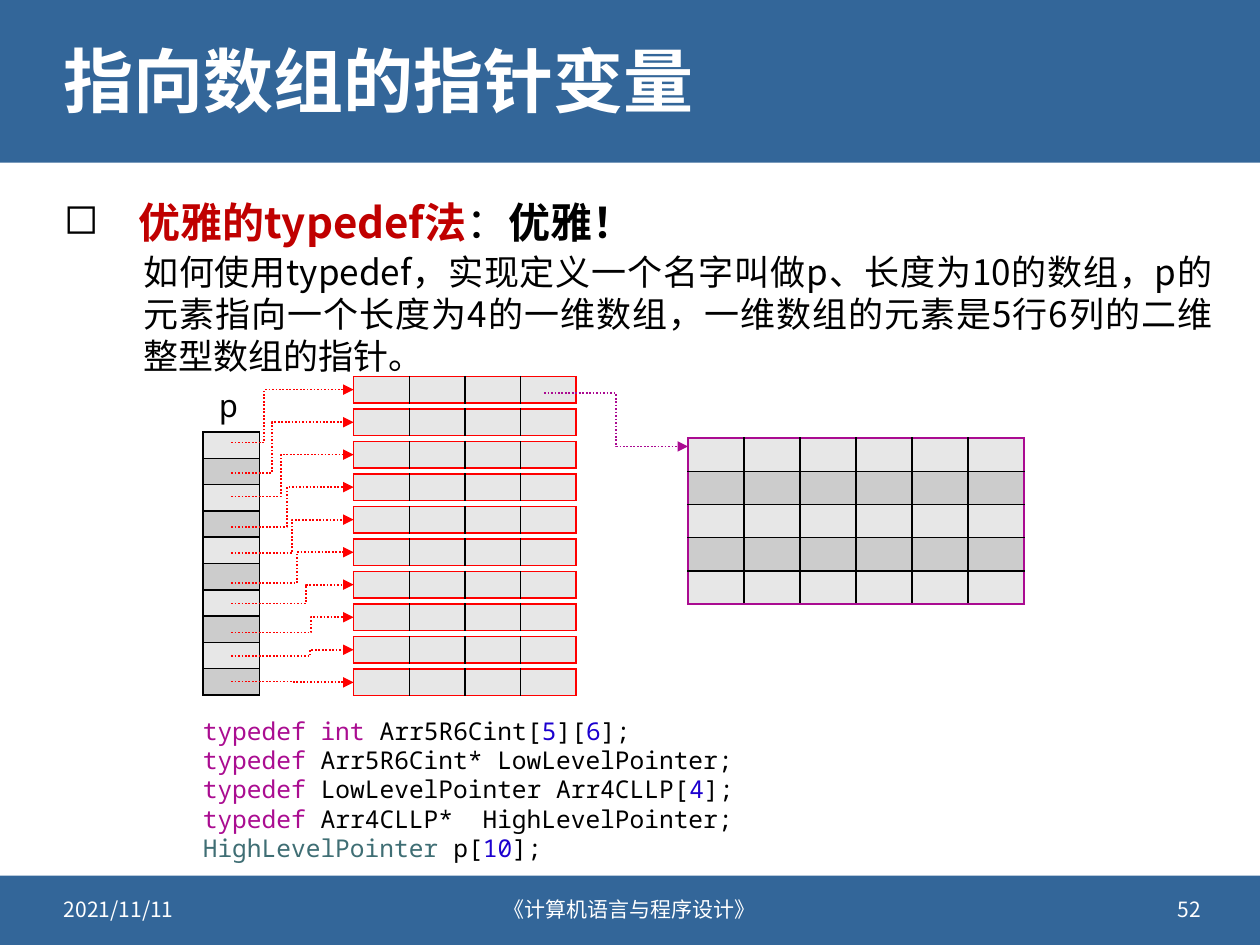
from lxml.etree import SubElement
from pptx import Presentation
from pptx.dml.color import RGBColor
from pptx.enum.dml import MSO_LINE
from pptx.enum.shapes import MSO_CONNECTOR, MSO_SHAPE
from pptx.enum.text import MSO_ANCHOR as ANCHOR, PP_ALIGN as ALIGN
from pptx.oxml.ns import qn
from pptx.util import Cm, Pt

BLUE = RGBColor(0x33, 0x66, 0x99)
WHITE = RGBColor(0xFF, 0xFF, 0xFF)
BLACK = RGBColor(0, 0, 0)
CRIMSON = RGBColor(0xC0, 0, 0)
RED = RGBColor(0xFF, 0, 0)
PURPLE = RGBColor(0xAA, 0x0B, 0x91)
KEYWORD = RGBColor(0xAA, 0x0D, 0x91)
NUMBER = RGBColor(0x1C, 0, 0xCF)
TYPE_NAME = RGBColor(0x3F, 0x6E, 0x74)
LIGHT = RGBColor(0xE7, 0xE7, 0xE7)
DARK = RGBColor(0xCC, 0xCC, 0xCC)
SANS = "Noto Sans CJK SC"
MONO = "Noto Sans Mono"

presentation = Presentation()
presentation.slide_width = Cm(25.4)
presentation.slide_height = Cm(19.05)
slide = presentation.slides.add_slide(presentation.slide_layouts[6])


def add_text(box, lines, size, font=SANS, align=ALIGN.LEFT, anchor=ANCHOR.TOP,
             spacing=None, wrap=True):
    shape = slide.shapes.add_textbox(*[Cm(value) for value in box])
    frame = shape.text_frame
    frame.word_wrap = wrap
    frame.vertical_anchor = anchor
    for index, line in enumerate(lines):
        paragraph = frame.add_paragraph() if index else frame.paragraphs[0]
        paragraph.alignment = align
        paragraph.line_spacing = spacing
        for text, color, bold in line:
            run = paragraph.add_run()
            run.text = text
            run.font.size = Pt(size)
            run.font.bold = bold
            run.font.color.rgb = color
            run.font.name = font
            SubElement(run.font._element, qn("a:ea"), typeface=font)
    return frame


def add_grid(left, top, cell_width, cell_height, rows, columns, sides):
    frame = slide.shapes.add_table(rows, columns, Cm(left), Cm(top),
                                   Cm(cell_width * columns), Cm(cell_height * rows))
    table = frame.table
    table.first_row = table.horz_banding = False
    for column in table.columns:
        column.width = Cm(cell_width)
    for row_index, row in enumerate(table.rows):
        row.height = Cm(cell_height)
        for column_index, cell in enumerate(row.cells):
            cell.margin_left = cell.margin_right = 0
            cell.margin_top = cell.margin_bottom = 0
            SubElement(cell.text_frame.paragraphs[0]._p, qn("a:endParaRPr"), sz="800")
            outer = {"L": column_index == 0, "R": column_index == columns - 1,
                     "T": row_index == 0, "B": row_index == rows - 1}
            properties = cell._tc.get_or_add_tcPr()
            for side, on_edge in outer.items():
                border = SubElement(properties, qn(f"a:ln{side}"), w="12700")
                fill = SubElement(border, qn("a:solidFill"))
                SubElement(fill, qn("a:srgbClr"), val=str(sides if on_edge else BLACK))
            cell.fill.solid()
            cell.fill.fore_color.rgb = DARK if row_index % 2 else LIGHT


for top, height in [(0, 3.28), (17.65, 1.4)]:
    band = slide.shapes.add_shape(MSO_SHAPE.RECTANGLE, 0, Cm(top), Cm(25.4), Cm(height))
    band.shadow.inherit = False
    band.fill.solid()
    band.fill.fore_color.rgb = BLUE
    band.line.fill.background()

add_text((1.04, 0.46, 23.34, 2.51), [[("指向数组的指针变量", WHITE, True)]], 40,
         anchor=ANCHOR.MIDDLE, spacing=0.9)

heading = add_text((1.04, 3.73, 23.34, 1.37),
                   [[("优雅的typedef法", CRIMSON, True), ("：", BLACK, False),
                     ("优雅！", BLACK, True)]], 24, spacing=1.1)
bullet = heading.paragraphs[0]._p.get_or_add_pPr()
bullet.set("marL", str(Cm(1.5)))
bullet.set("indent", str(Cm(-1.5)))
bullet_color = SubElement(bullet, qn("a:buClr"))
SubElement(bullet_color, qn("a:srgbClr"), val=str(BLACK))
SubElement(bullet, qn("a:buChar"), char="◻")

footers = [(1.04, 6.1, "2021/11/11", ALIGN.LEFT),
           (8.13, 9.14, "《计算机语言与程序设计》", ALIGN.CENTER),
           (18.36, 6.1, "52", ALIGN.RIGHT)]
for left, width, text, align in footers:
    add_text((left, 17.81, width, 1.02), [[(text, WHITE, False)]], 12,
             align=align, anchor=ANCHOR.MIDDLE)

question = ("如何使用typedef，实现定义一个名字叫做p、长度为10的数组，p的元素指向一个"
            "长度为4的一维数组，一维数组的元素是5行6列的二维整型数组的指针。")
add_text((2.64, 4.93, 22.05, 2.82), [[(question, BLACK, False)]], 20,
         align=ALIGN.JUSTIFY, spacing=Pt(24))

code = [
    [("typedef int", KEYWORD), (" Arr5R6Cint[", BLACK), ("5", NUMBER), ("][", BLACK),
     ("6", NUMBER), ("];", BLACK)],
    [("typedef", KEYWORD), (" Arr5R6Cint* LowLevelPointer;", BLACK)],
    [("typedef ", KEYWORD), ("LowLevelPointer Arr4CLLP[", BLACK), ("4", NUMBER),
     ("];", BLACK)],
    [("typedef", KEYWORD), (" Arr4CLLP*  HighLevelPointer;", BLACK)],
    [("HighLevelPointer", TYPE_NAME), (" p[", BLACK), ("10", NUMBER), ("];", BLACK)],
]
add_text((3.84, 14.3, 11.46, 3.25),
         [[(text, color, False) for text, color in line] for line in code],
         14, font=MONO, spacing=Pt(16.8))

row_height = 0.53
row_tops = [7.59 + index * 5.9 / 9 for index in range(10)]
add_grid(4.09, 8.71, 1.14, row_height, 10, 1, BLACK)
for top in row_tops:
    add_grid(7.13, top, 1.12, row_height, 1, 4, RED)
add_grid(13.87, 8.83, 1.13, 0.67, 5, 6, PURPLE)

starts = [8.92, 9.53, 10.01, 10.62, 11.15, 11.76, 12.17, 12.75, 13.23, 13.74]
bends = [5.33, 5.49, 5.66, 5.79, 5.89, 5.99, 6.17, 6.27, 6.25, 5.89]
pointers = [(4.66, start, 7.13, top + row_height / 2, bend, RED)
            for start, top, bend in zip(starts, row_tops, bends)]
pointers.append((10.97, 7.93, 13.87, 9, 12.42, PURPLE))
for x1, y1, x2, y2, bend, color in pointers:
    connector = slide.shapes.add_connector(MSO_CONNECTOR.ELBOW,
                                           Cm(x1), Cm(y1), Cm(x2), Cm(y2))
    connector.line.color.rgb = color
    connector.line.width = Pt(1)
    connector.line.dash_style = MSO_LINE.ROUND_DOT
    SubElement(connector.line._get_or_add_ln(), qn("a:tailEnd"), type="triangle")
    properties = connector._element.spPr
    SubElement(properties, qn("a:effectLst"))
    guides = properties.find(qn("a:prstGeom")).find(qn("a:avLst"))
    ratio = round((bend - x1) / (x2 - x1) * 100000)
    SubElement(guides, qn("a:gd"), name="adj1", fmla=f"val {ratio}")

add_text((4.17, 7.65, 0.89, 1.02), [[("p", BLACK, False)]], 18, font=MONO, wrap=False)

presentation.save("out.pptx")
